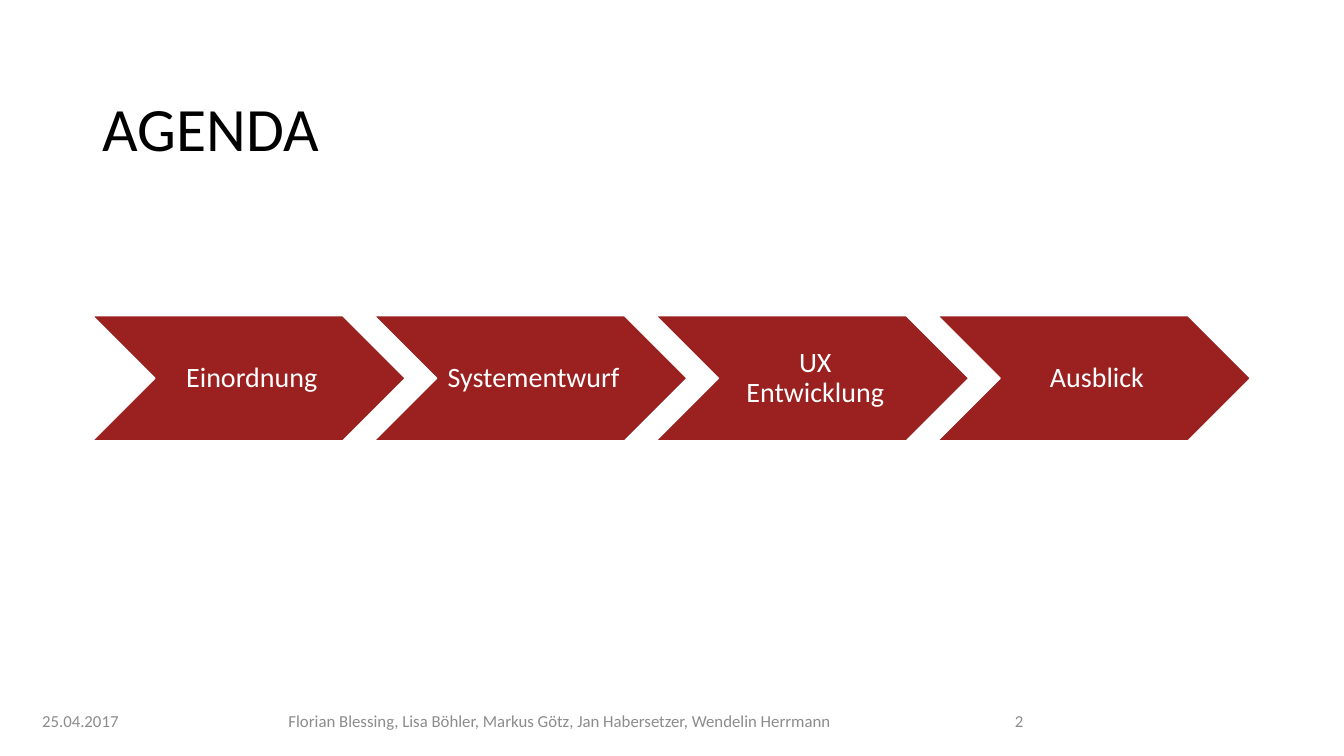
import pptx
import pptx.dml.color
import pptx.enum.shapes
import pptx.enum.text
import pptx.util

Pt = pptx.util.Pt
ALIGN = pptx.enum.text.PP_ALIGN
COLORS = {"title": "000000", "step": "9A2120", "white": "FFFFFF", "footer": "8C8C8C"}
STEPS = ["Einordnung", "Systementwurf", "UX Entwicklung", "Ausblick"]
AUTHORS = "Florian Blessing, Lisa Böhler, Markus Götz, Jan Habersetzer, Wendelin Herrmann"
STEP_LEFT, STEP_TOP, STEP_WIDTH, STEP_HEIGHT = 66, 225.5, 223.6, 89.4
STEP_PITCH = STEP_WIDTH * 0.9
FOOTER_TOP, FOOTER_HEIGHT = 500.4, 28.8


def color(name):
    """Return the named colour."""
    return pptx.dml.color.RGBColor.from_string(COLORS[name])


def write(s, text, size, color_name, align=ALIGN.LEFT, spacing=1.0):
    """Write one vertically centred paragraph into a shape."""
    tf = s.text_frame
    tf.word_wrap = True
    tf.vertical_anchor = pptx.enum.text.MSO_ANCHOR.MIDDLE
    p = tf.paragraphs[0]
    p.text = text
    p.alignment = align
    p.line_spacing = spacing
    p.font.name = "Calibri"
    p.font.size = Pt(size)
    p.font.color.rgb = color(color_name)


def add_text(slide, left, top, width, height, *style):
    """Add a text box; style is passed on to write."""
    s = slide.shapes.add_textbox(Pt(left), Pt(top), Pt(width), Pt(height))
    write(s, *style)


def add_step(slide, index, label):
    """Add one labelled chevron of the agenda row."""
    s = slide.shapes.add_shape(
        pptx.enum.shapes.MSO_SHAPE.CHEVRON,
        Pt(STEP_LEFT + index * STEP_PITCH), Pt(STEP_TOP),
        Pt(STEP_WIDTH), Pt(STEP_HEIGHT))
    s.shadow.inherit = False
    s.fill.solid()
    s.fill.fore_color.rgb = color("step")
    s.line.color.rgb = color("white")
    s.line.width = Pt(1)
    write(s, label, 20, "white", ALIGN.CENTER, 0.9)
    tf = s.text_frame
    tf.margin_left = Pt(6.3)
    tf.margin_top = tf.margin_right = tf.margin_bottom = Pt(2.1)


def add_footer(slide, left, width, text, align):
    """Add one part of the footer line."""
    add_text(slide, left, FOOTER_TOP, width, FOOTER_HEIGHT, text, 12, "footer", align)


def main():
    """Build the agenda slide and save it."""
    prs = pptx.Presentation()
    prs.slide_width, prs.slide_height = Pt(960), Pt(540)
    slide = prs.slides.add_slide(prs.slide_layouts[6])
    add_text(slide, 66, 54.7, 828, 78.5, "AGENDA", 44, "title", ALIGN.LEFT, 0.9)
    for index, label in enumerate(STEPS):
        add_step(slide, index, label)
    add_footer(slide, 23, 86.4, "25.04.2017", ALIGN.LEFT)
    add_footer(slide, 158.4, 483.1, AUTHORS, ALIGN.CENTER)
    add_footer(slide, 691.2, 46.8, "2", ALIGN.RIGHT)
    prs.save("out.pptx")


main()
